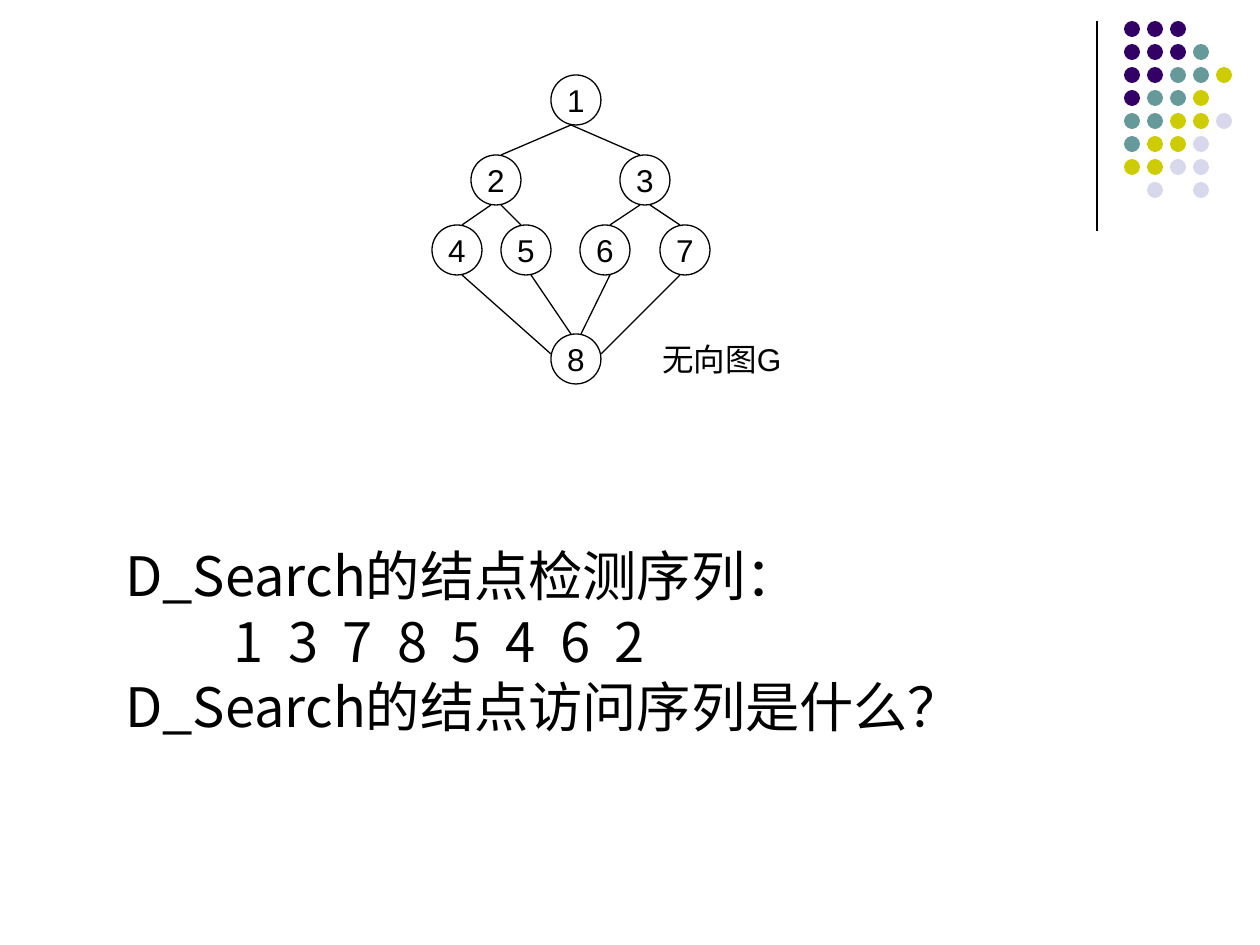
"""Build the slide on the search order of an undirected graph."""
from dataclasses import dataclass

from pptx import Presentation
from pptx import util as u
from pptx.dml.color import RGBColor
from pptx.enum import shapes, text
from pptx.oxml.ns import qn

SCALE = 914400 / 126


@dataclass(frozen=True)
class Theme:
    ink: str = "000000"
    dots: tuple = ("330066", "669999", "CCCC00", "D8D8EC")
    sans: str = "Arial"
    han: str = "Noto Sans CJK SC"
    small: int = 18
    large: int = 31
    line: float = 0.75


@dataclass(frozen=True)
class Node:
    name: str
    x: int
    y: int


@dataclass(frozen=True)
class Edge:
    head: str
    tail: str
    dx: int
    ex: int
    ey: int = -25


LOOK = Theme()
RADIUS = 25
DOT, STEP = 16, 23
DOTS = ("000", "0001", "00112", "0112", "11223", "1223", "2233", " 3 3")
NODES = (
    Node("1", 576, 100),
    Node("2", 496, 180), Node("3", 645, 180),
    Node("4", 457, 250), Node("5", 526, 250),
    Node("6", 605, 250), Node("7", 685, 250),
    Node("8", 576, 359),
)
EDGES = (
    Edge("1", "2", -5, 5), Edge("1", "3", -5, -5),
    Edge("2", "4", -5, 5), Edge("2", "5", 5, -5),
    Edge("3", "6", -5, 5), Edge("3", "7", 5, -5),
    Edge("4", "8", 5, -25, -5), Edge("5", "8", 5, -5),
    Edge("6", "8", 5, 5), Edge("7", "8", -5, 25, -5),
)
ORDER = "13785462"
BODY = (
    "D_Search的结点检测序列：",
    "".join("\t" + name for name in ORDER),
    "D_Search的结点访问序列是什么？",
)


def px(num: int) -> u.Emu:
    """Turn pixels into EMU."""
    return u.Emu(round(num * SCALE))


def put(obj, **vals) -> None:
    """Set each named value on an object."""
    for key, val in vals.items():
        setattr(obj, key, val)


def style(para, face: str, size: int) -> None:
    """Give the run of a paragraph its face, size and colour."""
    run = para.runs[0]
    put(run.font, name=face, size=u.Pt(size))
    run.font.color.rgb = RGBColor.from_string(LOOK.ink)
    east = run.font._element.makeelement(qn("a:ea"), {"typeface": LOOK.han})
    run.font._element.find(qn("a:latin")).addnext(east)


def oval(slide, x: int, y: int, size: int):
    """Add a circle without a shadow."""
    shape = slide.shapes.add_shape(
        shapes.MSO_SHAPE.OVAL, px(x), px(y), px(size), px(size))
    shape.shadow.inherit = False
    return shape


def link(slide, x: int, y: int, to_x: int, to_y: int) -> None:
    """Add a thin straight line."""
    line = slide.shapes.add_connector(
        shapes.MSO_CONNECTOR.STRAIGHT, px(x), px(y), px(to_x), px(to_y))
    line.line.width = u.Pt(LOOK.line)
    line.line.color.rgb = RGBColor.from_string(LOOK.ink)
    props = line.element.spPr
    props.append(props.makeelement(qn("a:effectLst"), {}))


def draw_dots(slide) -> None:
    """Draw the corner pattern of dots."""
    for row, keys in enumerate(DOTS):
        for col, key in enumerate(keys):
            if key != " ":
                dot = oval(slide, 1124 + col * STEP, 21 + row * STEP, DOT)
                dot.fill.solid()
                dot.fill.fore_color.rgb = RGBColor.from_string(LOOK.dots[int(key)])
                dot.line.fill.background()


def draw_node(slide, node: Node) -> None:
    """Draw one numbered node."""
    shape = oval(slide, node.x - RADIUS, node.y - RADIUS, 2 * RADIUS)
    shape.fill.background()
    shape.line.width = u.Pt(LOOK.line)
    shape.line.color.rgb = RGBColor.from_string(LOOK.ink)
    frame = shape.text_frame
    put(frame, text=node.name, word_wrap=False,
        vertical_anchor=text.MSO_ANCHOR.MIDDLE)
    para = frame.paragraphs[0]
    para.alignment = text.PP_ALIGN.CENTER
    style(para, LOOK.sans, LOOK.small)


def draw_edge(slide, edge: Edge) -> None:
    """Draw one edge between two nodes."""
    spot = {node.name: node for node in NODES}
    head, tail = spot[edge.head], spot[edge.tail]
    link(slide, head.x + edge.dx, head.y + RADIUS,
         tail.x + edge.ex, tail.y + edge.ey)


def add_stops(para) -> None:
    """Add one even tab stop for each number in the order."""
    props = para._p.get_or_add_pPr()
    tabs = props.makeelement(qn("a:tabLst"), {})
    props.append(tabs)
    for num in range(2, 2 + len(ORDER)):
        place = str(px(num * 272 // 5))
        tabs.append(tabs.makeelement(qn("a:tab"), {"pos": place, "algn": "l"}))


def draw_body(slide) -> None:
    """Write the search order and the question."""
    box = slide.shapes.add_textbox(px(113), px(542), px(1101), px(302))
    frame = box.text_frame
    put(frame, word_wrap=True, margin_top=px(13))
    for num, words in enumerate(BODY):
        para = frame.add_paragraph() if num else frame.paragraphs[0]
        para.add_run().text = words
        if "\t" in words:
            add_stops(para)
        put(para, line_spacing=0.8)
        if num:
            para.space_before = u.Pt(7.7)
        style(para, LOOK.han, LOOK.large)


def draw_label(slide) -> None:
    """Write the name of the graph."""
    box = slide.shapes.add_textbox(px(650), px(334), px(169), px(50))
    put(box.text_frame, text="无向图G", word_wrap=True)
    style(box.text_frame.paragraphs[0], LOOK.sans, LOOK.small)


def main() -> None:
    """Build and save the slide."""
    deck = Presentation()
    put(deck, slide_width=px(1260), slide_height=px(945))
    slide = deck.slides.add_slide(deck.slide_layouts[6])
    link(slide, 1097, 21, 1097, 231)
    draw_dots(slide)
    draw_body(slide)
    for node in NODES:
        draw_node(slide, node)
    for edge in EDGES:
        draw_edge(slide, edge)
    draw_label(slide)
    deck.save("out.pptx")


if __name__ == "__main__":
    main()
